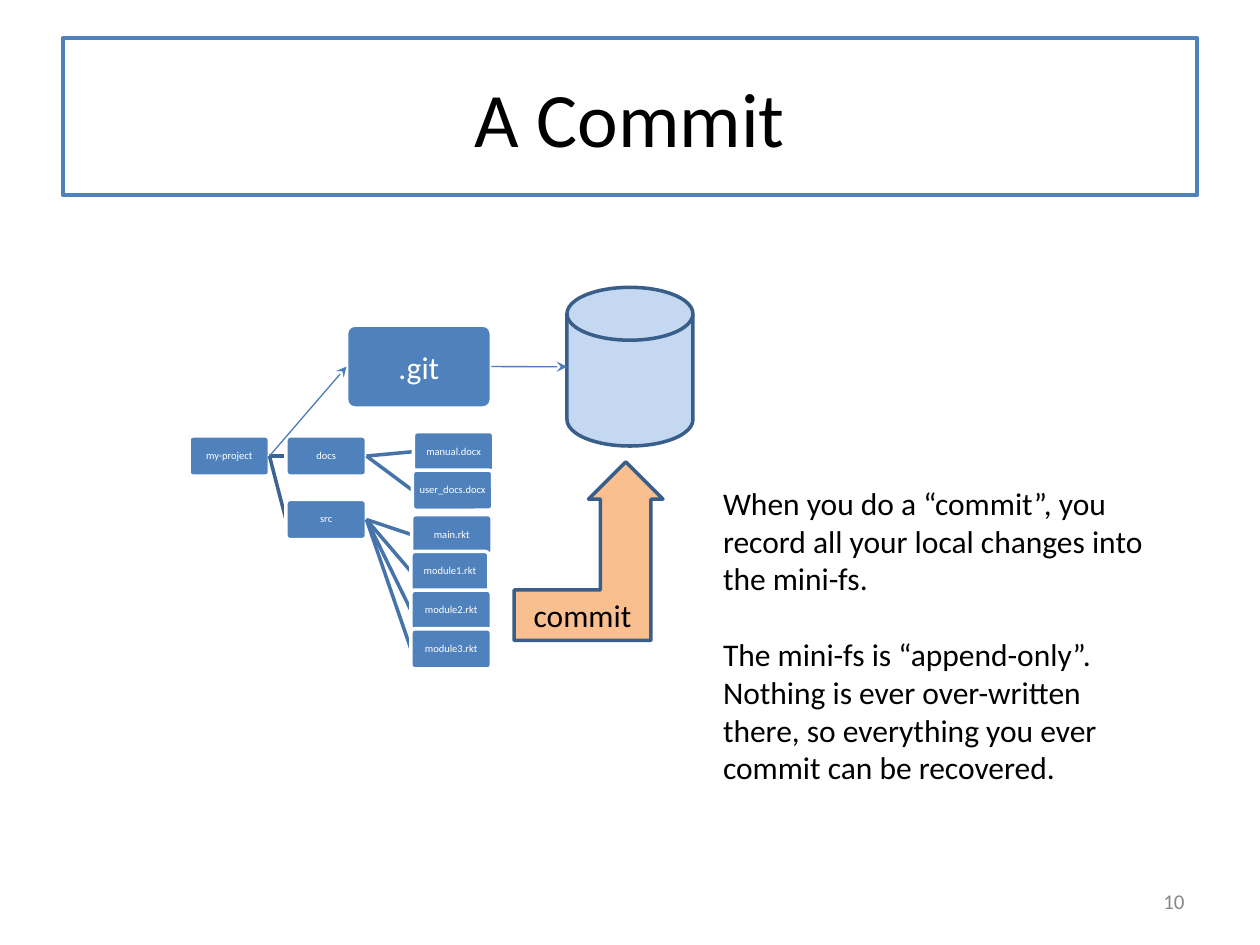
from lxml import etree
from pptx import Presentation
from pptx.dml.color import RGBColor
from pptx.enum.shapes import MSO_CONNECTOR, MSO_SHAPE
from pptx.enum.text import MSO_ANCHOR, PP_ALIGN
from pptx.oxml.ns import qn
from pptx.util import Pt

STRAIGHT = MSO_CONNECTOR.STRAIGHT
ROUNDED, DISK, BENT_ARROW = (MSO_SHAPE.ROUNDED_RECTANGLE, MSO_SHAPE.FLOWCHART_MAGNETIC_DISK,
                             MSO_SHAPE.BENT_UP_ARROW)
LEFT, CENTER, RIGHT = PP_ALIGN.LEFT, PP_ALIGN.CENTER, PP_ALIGN.RIGHT
TOP, MIDDLE = MSO_ANCHOR.TOP, MSO_ANCHOR.MIDDLE

FONT = "Calibri"
BLACK = RGBColor(0x00, 0x00, 0x00)
WHITE = RGBColor(0xFF, 0xFF, 0xFF)
GRAY = RGBColor(0x88, 0x88, 0x88)
BLUE = RGBColor(0x4F, 0x81, 0xBD)
PALE_BLUE = RGBColor(0xC5, 0xD8, 0xF1)
EDGE_BLUE = RGBColor(0x39, 0x5E, 0x89)
ARROW_BLUE = RGBColor(0x4A, 0x7D, 0xBA)
FOLDER_LINK = RGBColor(0x3B, 0x64, 0x95)
FILE_LINK = RGBColor(0x46, 0x74, 0xAA)
ORANGE = RGBColor(0xFA, 0xBF, 0x8E)

TITLE = "A Commit"
NOTES = [
    "When you do a “commit”, you record all your local changes into the mini-fs.",
    "The mini-fs is “append-only”. Nothing is ever over-written there, "
    "so everything you ever commit can be recovered.",
]
PAGE_NUMBER = "10"

NODE_WIDTH, NODE_HEIGHT = 46, 23
TREE = [
    ("my-project", None, 108, 249.1, NODE_WIDTH),
    ("docs", "my-project", 163.4, 249.1, NODE_WIDTH),
    ("manual.docx", "docs", 236.2, 246.6, NODE_WIDTH),
    ("user_docs.docx", "docs", 235.6, 268.6, NODE_WIDTH),
    ("src", "my-project", 163.4, 285.4, NODE_WIDTH),
    ("main.rkt", "src", 235.2, 294, NODE_WIDTH),
    ("module1.rkt", "src", 234.8, 315.1, 44.6),
    ("module2.rkt", "src", 234.8, 337.2, NODE_WIDTH),
    ("module3.rkt", "src", 234.8, 359.3, NODE_WIDTH),
]
GIT_BOX = (198, 185.8, 82.8, 47.4)
STORE = (324, 164.2, 72, 90.7)
COMMIT_ARROW = (293.8, 264, 85, 102)


def write(shape, paragraphs, size, color, align, anchor):
    frame = shape.text_frame
    frame.text = "\n".join(paragraphs)
    frame.word_wrap = True
    frame.vertical_anchor = anchor
    for paragraph in frame.paragraphs:
        paragraph.alignment = align
        for run in paragraph.runs:
            run.font.name = FONT
            run.font.size = Pt(size)
            run.font.color.rgb = color


def add_block(slide, kind, box, fill, edge, adjustments=()):
    shape = slide.shapes.add_shape(kind, *map(Pt, box))
    shape.shadow.inherit = False
    shape.fill.solid()
    shape.fill.fore_color.rgb = fill
    shape.line.color.rgb = edge
    shape.line.width = Pt(2)
    for index, value in enumerate(adjustments):
        shape.adjustments[index] = value
    return shape


def add_line(slide, start, end, color, width, arrow=False):
    connector = slide.shapes.add_connector(STRAIGHT, *map(Pt, start + end))
    connector.line.color.rgb = color
    connector.line.width = Pt(width)
    if arrow:
        etree.SubElement(connector.line._get_or_add_ln(), qn("a:tailEnd"), type="stealth")
    etree.SubElement(connector._element.spPr, qn("a:effectLst"))


def add_text(slide, box, paragraphs, size, color, align, anchor):
    shape = slide.shapes.add_textbox(*map(Pt, box))
    write(shape, paragraphs, size, color, align, anchor)
    return shape


def left_middle(box):
    return box[0], box[1] + box[3] / 2


def right_middle(box):
    return box[0] + box[2], box[1] + box[3] / 2


def add_tree(slide):
    boxes = {}
    for name, parent, left, top, width in TREE:
        box = boxes[name] = (left, top, width, NODE_HEIGHT)
        if parent:
            color = FOLDER_LINK if parent == TREE[0][0] else FILE_LINK
            add_line(slide, right_middle(boxes[parent]), left_middle(box), color, 2)
        node = add_block(slide, ROUNDED, box, BLUE, WHITE, [0.1])
        write(node, [name], 6, WHITE, CENTER, MIDDLE)
        frame = node.text_frame
        frame.margin_left = frame.margin_right = frame.margin_top = frame.margin_bottom = 0
        frame.paragraphs[0].line_spacing = 0.9
    return boxes


def main():
    presentation = Presentation()
    presentation.slide_width, presentation.slide_height = Pt(720), Pt(540)
    slide = presentation.slides.add_slide(presentation.slide_layouts[5])

    title = slide.shapes.title
    title.left, title.top, title.width, title.height = map(Pt, (36, 21.6, 648, 90))
    title.line.color.rgb = BLUE
    title.line.width = Pt(2.25)
    write(title, [TITLE], 44, BLACK, CENTER, MIDDLE)

    boxes = add_tree(slide)
    git = add_block(slide, ROUNDED, GIT_BOX, BLUE, WHITE, [0.1])
    write(git, [".git"], 18, WHITE, CENTER, MIDDLE)
    add_block(slide, DISK, STORE, PALE_BLUE, EDGE_BLUE)
    add_line(slide, right_middle(GIT_BOX), left_middle(STORE), ARROW_BLUE, 0.75, arrow=True)
    add_line(slide, right_middle(boxes["my-project"]), left_middle(GIT_BOX),
             ARROW_BLUE, 0.75, arrow=True)

    commit = add_block(slide, BENT_ARROW, COMMIT_ARROW, ORANGE, EDGE_BLUE, [0.339, 0.25, 0.25])
    write(commit, ["commit"], 18, BLACK, CENTER, MIDDLE)

    notes = add_text(slide, (406.1, 272.9, 264.2, 181.4), NOTES, 18, BLACK, LEFT, TOP)
    notes.text_frame.paragraphs[1].space_before = Pt(21.6)
    add_text(slide, (516, 500.4, 168, 28.8), [PAGE_NUMBER], 12, GRAY, RIGHT, MIDDLE)

    presentation.save("out.pptx")


if __name__ == "__main__":
    main()
